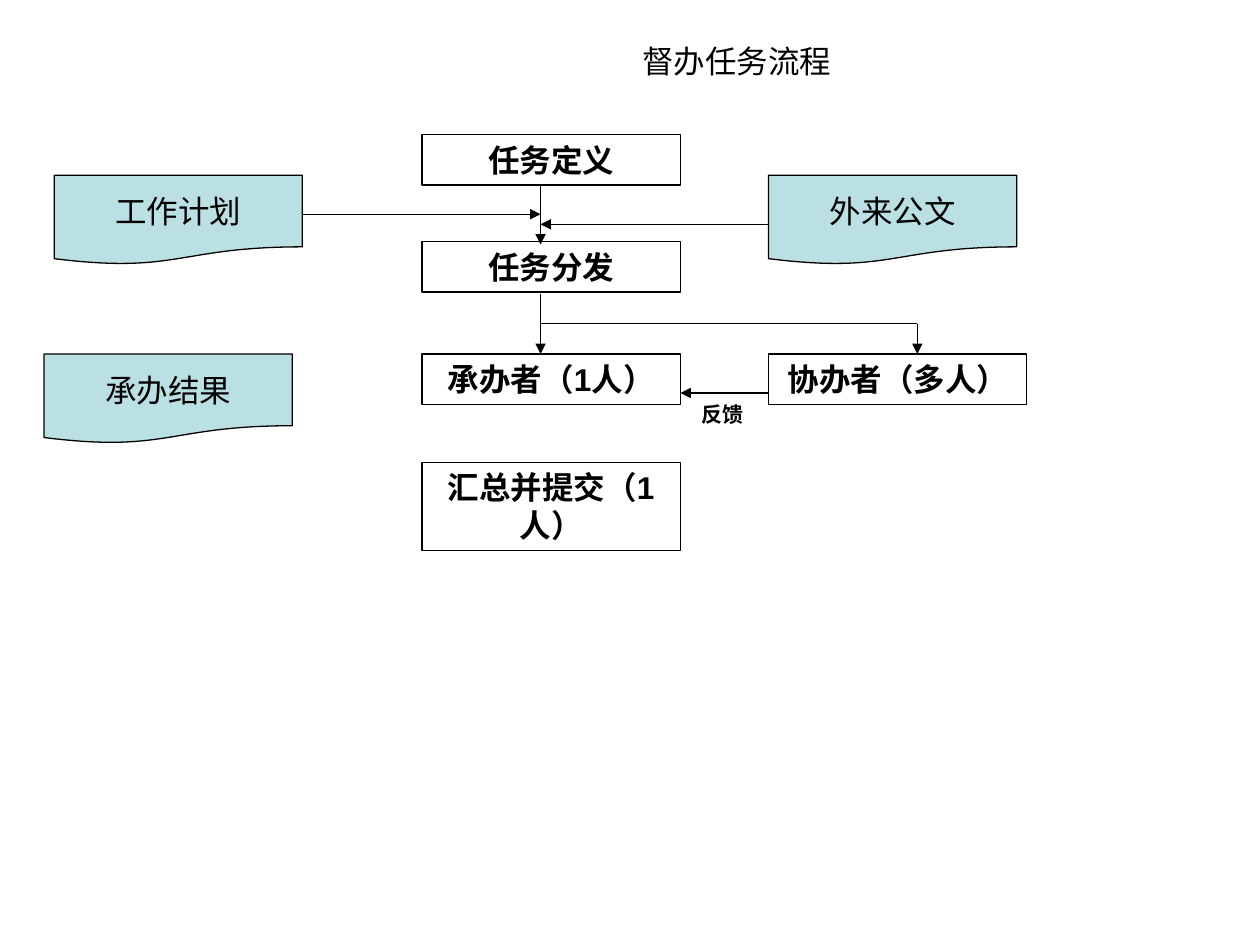
from lxml import etree
from pptx import Presentation
from pptx.dml.color import RGBColor
from pptx.enum.shapes import MSO_CONNECTOR, MSO_SHAPE
from pptx.enum.text import MSO_ANCHOR, PP_ALIGN
from pptx.oxml.ns import qn
from pptx.util import Pt

RECT = MSO_SHAPE.RECTANGLE
DOCUMENT = MSO_SHAPE.FLOWCHART_DOCUMENT
STRAIGHT = MSO_CONNECTOR.STRAIGHT
TOP, MIDDLE = MSO_ANCHOR.TOP, MSO_ANCHOR.MIDDLE
LEFT, CENTER = PP_ALIGN.LEFT, PP_ALIGN.CENTER

BLACK, TEAL = "000000", "BBE0E3"
MAIN_X, SIDE_X = 241.2, 439.2
STEP_W, STEP_H = 147.6, 28.8
DOC_W, DOC_H = 141.8, 51.1
DOC_Y, PEOPLE_Y = 100.1, 202.3
FLOW_X, HELPER_X, BRANCH_Y = 308.9, 524.2, 185


def color(value):
    return RGBColor.from_string(value)


def set_text(sp, text, size=18, bold=False, align=CENTER, anchor=TOP, wrap=True):
    tf = sp.text_frame
    tf.text = text
    tf.word_wrap = wrap
    tf.vertical_anchor = anchor
    p = tf.paragraphs[0]
    p.alignment = align
    font = p.runs[0].font
    font.name = "Arial"
    font.size = Pt(size)
    font.bold = bold
    font.color.rgb = color(BLACK)


def set_line(sp):
    sp.line.color.rgb = color(BLACK)
    sp.line.width = Pt(0.75)


def add_outlined(s, kind, x, y, w, h):
    sp = s.shapes.add_shape(kind, Pt(x), Pt(y), Pt(w), Pt(h))
    sp.shadow.inherit = False
    set_line(sp)
    return sp


def add_step(s, text, x, y, h=STEP_H):
    sp = add_outlined(s, RECT, x, y, STEP_W, h)
    sp.fill.background()
    set_text(sp, text, bold=True)


def add_document(s, text, x, y):
    sp = add_outlined(s, DOCUMENT, x, y, DOC_W, DOC_H)
    sp.fill.solid()
    sp.fill.fore_color.rgb = color(TEAL)
    set_text(sp, text, anchor=MIDDLE, wrap=False)


def add_label(s, text, x, y, w, h, size, bold=False):
    sp = s.shapes.add_textbox(Pt(x), Pt(y), Pt(w), Pt(h))
    set_text(sp, text, size, bold, LEFT)


def add_line(s, x1, y1, x2, y2, arrow=True):
    cn = s.shapes.add_connector(STRAIGHT, Pt(x1), Pt(y1), Pt(x2), Pt(y2))
    set_line(cn)
    if arrow:
        ln = cn.line._get_or_add_ln()
        etree.SubElement(ln, qn("a:tailEnd"), type="triangle")
    etree.SubElement(cn._element.spPr, qn("a:effectLst"))


def main():
    prs = Presentation()
    prs.slide_width, prs.slide_height = Pt(720), Pt(540)
    s = prs.slides.add_slide(prs.slide_layouts[6])

    add_label(s, "督办任务流程", 360, 20.2, 124.6, 28.8, 18)

    add_step(s, "任务定义", MAIN_X, 77)
    add_step(s, "任务分发", MAIN_X, 138.2)
    add_step(s, "承办者（1人）", MAIN_X, PEOPLE_Y)
    add_step(s, "协办者（多人）", SIDE_X, PEOPLE_Y)
    add_step(s, "汇总并提交（1人）", MAIN_X, 264.2, 50.4)

    add_document(s, "工作计划", 31, DOC_Y)
    add_document(s, "外来公文", SIDE_X, DOC_Y)
    add_document(s, "承办结果", 25.2, PEOPLE_Y)

    add_line(s, FLOW_X, 105.8, FLOW_X, 139.7)
    add_line(s, 31 + DOC_W, 122.4, FLOW_X, 122.4)
    add_line(s, SIDE_X, 128.2, FLOW_X, 128.2)
    add_line(s, FLOW_X, 167.8, FLOW_X, PEOPLE_Y)
    add_line(s, FLOW_X, BRANCH_Y, HELPER_X, BRANCH_Y, arrow=False)
    add_line(s, HELPER_X, BRANCH_Y, HELPER_X, PEOPLE_Y)
    add_line(s, SIDE_X, 224.6, MAIN_X + STEP_W, 224.6)
    add_label(s, "反馈", 393.8, 226.1, 45.4, 21.6, 12, bold=True)

    prs.save("out.pptx")


if __name__ == "__main__":
    main()
